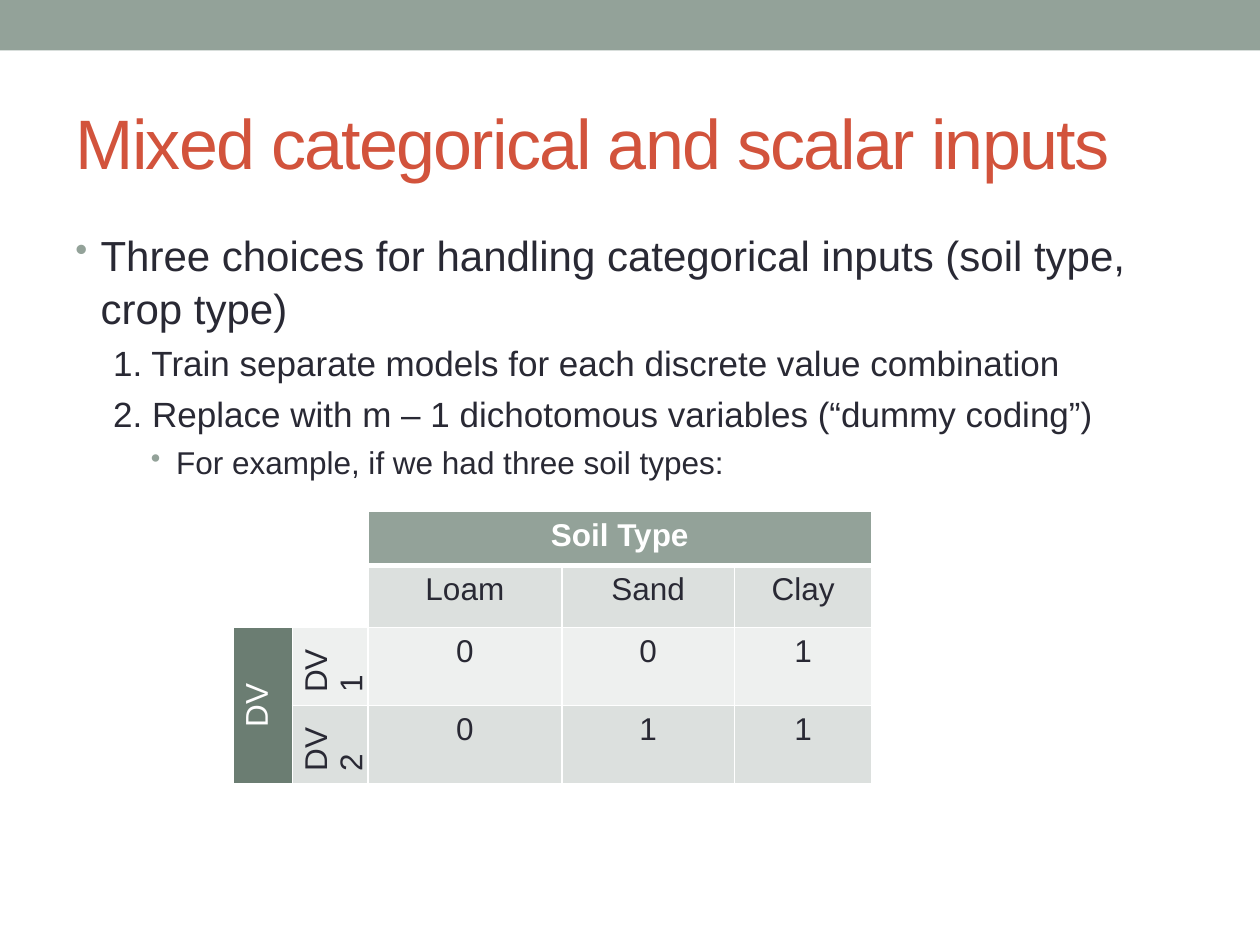
from lxml import etree
from pptx import Presentation
from pptx.dml.color import RGBColor
from pptx.enum.shapes import MSO_SHAPE
from pptx.enum.text import MSO_ANCHOR, PP_ALIGN
from pptx.oxml.ns import qn
from pptx.util import Inches, Pt

RECT = MSO_SHAPE.RECTANGLE
MID, TOP = MSO_ANCHOR.MIDDLE, MSO_ANCHOR.TOP
LEFT, MIDDLE = PP_ALIGN.LEFT, PP_ALIGN.CENTER

SAGE = RGBColor(0x93, 0xA2, 0x99)
MOSS = RGBColor(0x6B, 0x7D, 0x72)
GREY = RGBColor(0xDC, 0xE0, 0xDE)
PALE = RGBColor(0xEE, 0xF0, 0xEF)
RUST = RGBColor(0xD2, 0x53, 0x3C)
INK = RGBColor(0x29, 0x29, 0x34)
WHITE = RGBColor(0xFF, 0xFF, 0xFF)

WIDE, HIGH = Inches(10), Inches(7.5)
MARGIN = 0.05  # share of the slide's width

# Text, level, size, left margin, bullet size in percent
POINTS = [
    ("Three choices for handling categorical inputs (soil type, crop type)", 0, 24, 0.2, 85),
    ("1. Train separate models for each discrete value combination", 1, 20, 0.3, None),
    ("2. Replace with m – 1 dichotomous variables (“dummy coding”)", 1, 20, 0.3, None),
    ("For example, if we had three soil types:", 2, 18, 0.8, 90),
]
COLS = [0.47, 0.6, 1.54, 1.37, 1.09]
ROWS = [0.43, 0.49, 0.62, 0.62]
CELLS = [
    ["", "", "Soil Type", "", ""],
    ["", "", "Loam", "Sand", "Clay"],
    ["DV", "DV1", "0", "0", "1"],
    ["", "DV2", "0", "1", "1"],
]


def share(left, top, width, height):
    """Turn shares of the slide into a box."""
    return [int(WIDE * left), int(HIGH * top), int(WIDE * width), int(HIGH * height)]


def write(para, text, size=18, color=INK, bold=False, align=LEFT, track=0):
    para.alignment = align
    run = para.add_run()
    run.text = text
    font = run.font
    font.name, font.size, font.bold = "Arial", Pt(size), bold
    font.color.rgb = color
    if track:
        run._r.get_or_add_rPr().set("spc", str(track * 100))


def bullet(para, left, scale):
    """Set the indent, and a sage dot if a scale is given."""
    props = para._p.get_or_add_pPr()
    props.set("marL", str(Inches(left)))
    props.set("indent", str(Inches(-0.2 if scale else 0)))
    if scale:
        tint = etree.SubElement(props, qn("a:buClr"))
        etree.SubElement(tint, qn("a:srgbClr")).set("val", str(SAGE))
        etree.SubElement(props, qn("a:buSzPct")).set("val", str(scale * 1000))
        etree.SubElement(props, qn("a:buChar")).set("char", "•")
    else:
        etree.SubElement(props, qn("a:buNone"))


def edge(cell, row):
    """Draw white borders, heavier under the header row."""
    props = cell._tc.get_or_add_tcPr()
    for side in "LRTB":
        heavy = (row, side) in ((0, "B"), (1, "T"))
        line = etree.SubElement(props, qn("a:ln" + side))
        line.set("w", str(Pt(3 if heavy else 1)))
        fill = etree.SubElement(line, qn("a:solidFill"))
        etree.SubElement(fill, qn("a:srgbClr")).set("val", str(WHITE))


def add_band(slide, box):
    band = slide.shapes.add_shape(RECT, *box)
    band.shadow.inherit = False
    band.fill.solid()
    band.fill.fore_color.rgb = SAGE
    band.line.fill.background()


def add_title(slide, box):
    title = slide.shapes.title
    title.left, title.top, title.width, title.height = box
    frame = title.text_frame
    frame.word_wrap, frame.vertical_anchor = True, MID
    write(frame.paragraphs[0], "Mixed categorical and scalar inputs",
          size=40, color=RUST, track=-1)


def add_body(slide, box):
    frame = slide.shapes.add_textbox(*box).text_frame
    frame.word_wrap, frame.vertical_anchor = True, TOP
    for i, (text, level, size, left, scale) in enumerate(POINTS):
        para = frame.add_paragraph() if i else frame.paragraphs[0]
        para.level = level
        para.line_spacing = 1.05
        if i:
            para.space_before = Pt(size * 0.2)
        bullet(para, left, scale)
        write(para, text, size=size)


def shade(row, col):
    """Choose a cell's fill; the empty corner has none."""
    if row < 2 and col < 2:
        return None
    if row == 0:
        return SAGE
    if col == 0:
        return MOSS
    return PALE if row == 2 else GREY


def add_grid(slide, box):
    table = slide.shapes.add_table(len(ROWS), len(COLS), *box).table
    table.first_row = table.horz_banding = False
    for col, part in zip(table.columns, COLS):
        col.width = int(box[2] * part / sum(COLS))
    for row, part in zip(table.rows, ROWS):
        row.height = int(box[3] * part / sum(ROWS))
    table.cell(0, 2).merge(table.cell(0, 4))
    table.cell(2, 0).merge(table.cell(3, 0))
    for r, line in enumerate(CELLS):
        for c, text in enumerate(line):
            cell, color = table.cell(r, c), shade(r, c)
            edge(cell, r)
            if color is None:
                cell.fill.background()
            else:
                cell.fill.solid()
                cell.fill.fore_color.rgb = color
            if not text:
                continue
            if c < 2:
                cell._tc.get_or_add_tcPr().set("vert", "vert270")
            write(cell.text_frame.paragraphs[0], text, bold=r == 0,
                  color=WHITE if color in (SAGE, MOSS) else INK,
                  align=LEFT if c == 1 else MIDDLE)


def main():
    deck = Presentation()
    deck.slide_width, deck.slide_height = WIDE, HIGH
    slide = deck.slides.add_slide(deck.slide_layouts[5])
    inner = 1 - 2 * MARGIN
    add_band(slide, share(0, 0, 1, 0.4 / 7.5))
    add_title(slide, share(MARGIN, 0.58 / 7.5, inner, 1.08 / 7.5))
    add_body(slide, share(MARGIN, 1.75 / 7.5, inner, 5.33 / 7.5))
    add_grid(slide, share(0.185, 4.06 / 7.5, sum(COLS) / 10, sum(ROWS) / 7.5))
    deck.save("out.pptx")


if __name__ == "__main__":
    main()
